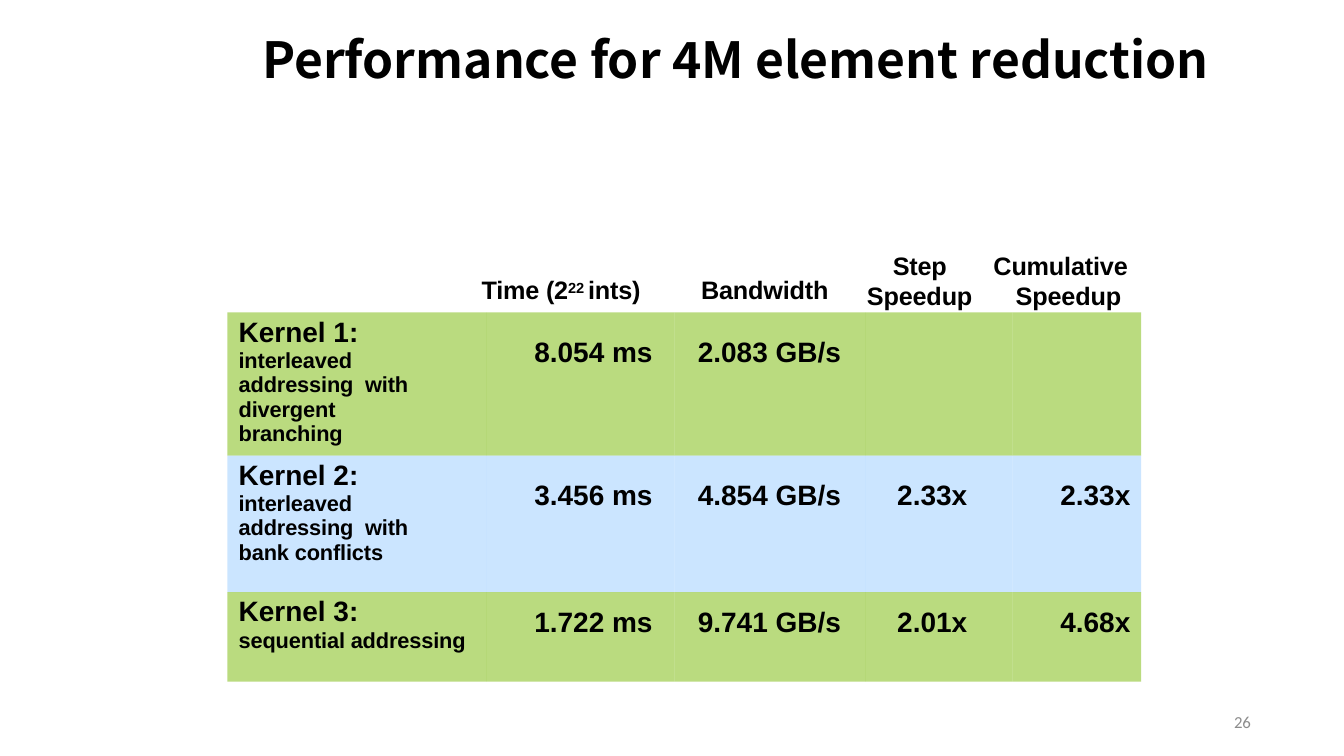
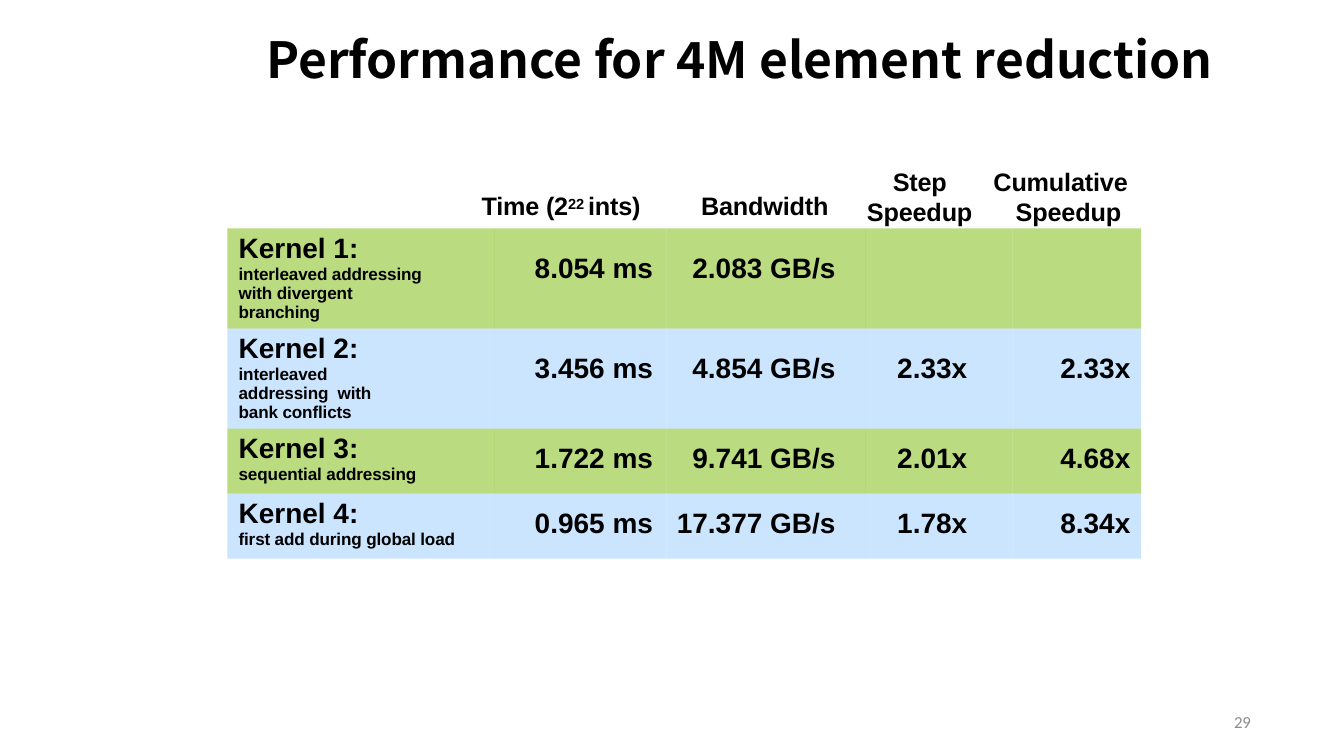
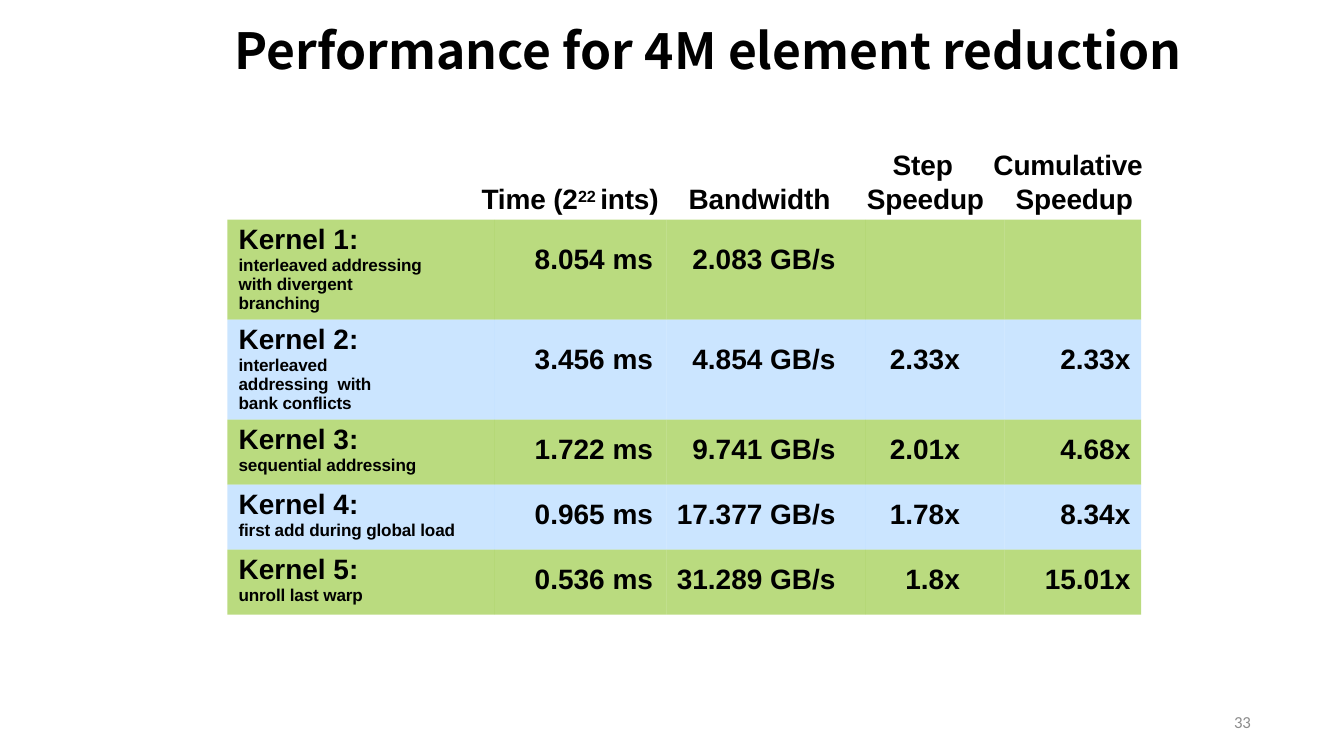
from dataclasses import dataclass

from pptx import Presentation
from pptx.dml.color import RGBColor
from pptx.enum.text import MSO_ANCHOR, PP_ALIGN
from pptx.oxml.ns import qn
from pptx.oxml.xmlchemy import OxmlElement
from pptx.util import Pt

# Shared look
BLACK = RGBColor(0x00, 0x00, 0x00)
GRAY = RGBColor(0x8C, 0x8C, 0x8C)
GREEN = RGBColor(0x76, 0xB8, 0x00)
BLUE = RGBColor(0x99, 0xCC, 0xFF)
BAND_COLORS = (GREEN, BLUE)
BAND_OPACITY = "50000"
BODY_FONT = "Arial"
TITLE_FONT = "Noto Sans CJK SC"
NUMBER_FONT = "Calibri"
LEFT, CENTER, RIGHT = PP_ALIGN.LEFT, PP_ALIGN.CENTER, PP_ALIGN.RIGHT
TOP, MIDDLE = MSO_ANCHOR.TOP, MSO_ANCHOR.MIDDLE
NO_GRID_STYLE = "{2D5ABB26-0587-4C30-8999-92F81FD0307C}"

TITLE = "Performance for 4M element reduction"
TABLE_LEFT = 146.2


@dataclass(frozen=True)
class Kernel:
    name: str
    detail: str
    values: tuple[str, str, str, str]
    tall: bool = False


@dataclass(frozen=True)
class Column:
    width: float
    align: PP_ALIGN = RIGHT
    indent: float = 0
    margin: float = 0


@dataclass(frozen=True)
class Header:
    text: str  # parts between ^ marks are superscript
    left: float
    width: float
    margin: float = 0.7
    indent: float = 0


@dataclass(frozen=True)
class HeaderRow:
    size: float
    tall_rise: float
    tall_height: float
    short_height: float
    headers: tuple[Header, ...]


@dataclass(frozen=True)
class Page:
    number: str
    title_box: tuple[float, float, float]  # left, top, width
    table_top: float
    kernel_count: int
    detail_size: float
    row_heights: tuple[float, float]  # tall, short
    detail_margins: tuple[float, ...]  # right margins of the first kernels
    columns: tuple[Column, ...]
    header_row: HeaderRow


KERNELS = (
    Kernel("Kernel 1:", "interleaved addressing  with divergent branching",
           ("8.054 ms", "2.083 GB/s", "", ""), tall=True),
    Kernel("Kernel 2:", "interleaved addressing  with bank conflicts",
           ("3.456 ms", "4.854 GB/s", "2.33x", "2.33x"), tall=True),
    Kernel("Kernel 3:", "sequential addressing",
           ("1.722 ms", "9.741 GB/s", "2.01x", "4.68x")),
    Kernel("Kernel 4:", "first add during global load",
           ("0.965 ms", "17.377 GB/s", "1.78x", "8.34x")),
    Kernel("Kernel 5:", "unroll last warp",
           ("0.536 ms", "31.289 GB/s", "1.8x", "15.01x")),
)


def make_header_row(size: float, tall_rise: float, tall_height: float,
                    short_height: float, bandwidth_left: float,
                    widths: tuple[float, ...]) -> HeaderRow:
    step, bandwidth, time, cumulative = widths
    return HeaderRow(size, tall_rise, tall_height, short_height, (
        Header("Step\nSpeedup", 556.6, step, indent=16.6),
        Header("Bandwidth", bandwidth_left, bandwidth),
        Header("Time (2^22 ^ints)", 306.7, time, margin=2.9),
        Header("Cumulative\nSpeedup", 638, cumulative, margin=15, indent=-14.3),
    ))


SMALL_HEADERS = make_header_row(16.2, 41, 40.3, 21, 450, (70.6, 85, 110.9, 88.6))
LARGE_HEADERS = make_header_row(18, 46.8, 44.6, 23, 442, (81.4, 95, 132.5, 100.8))

NAME_COLUMN = Column(172, LEFT, indent=7.2)
TIME_COLUMN = Column(110.2, margin=8.6)
BANDWIDTH_COLUMN = Column(128.2, margin=19.4)
STEP_COLUMN = Column(94.3, LEFT, indent=20.2)
TOTAL_COLUMN = Column(82.8, margin=7)

PAGES = (
    Page("26", (102.2, 17.3, 740.9), 200.9, 3, 14, (87.8, 57.6), (43, 43),
         (Column(166.3, LEFT, indent=7.2), Column(121, margin=14),
          Column(123.1, LEFT, indent=15.1), STEP_COLUMN, TOTAL_COLUMN),
         SMALL_HEADERS),
    Page("29", (113.8, 17.3, 722.9), 146.9, 4, 11, (54, 41.8), (41, 65),
         (NAME_COLUMN, TIME_COLUMN, BANDWIDTH_COLUMN, STEP_COLUMN, TOTAL_COLUMN),
         SMALL_HEADERS),
    Page("33", (77.8, 11.5, 754.6), 141.1, 5, 11, (54, 41.8), (41, 65),
         (NAME_COLUMN, TIME_COLUMN, BANDWIDTH_COLUMN,
          Column(89.3, margin=28.8), Column(87.8, margin=7)),
         LARGE_HEADERS),
)


def write(p, text: str, *, size: float, font: str = BODY_FONT,
          color: RGBColor = BLACK, bold: bool = True, spacing: float = 0,
          align: PP_ALIGN = LEFT, margin: float = 0, indent: float = 0,
          before: float = 0) -> None:
    """Fill a paragraph; newlines break lines and ^ toggles superscript."""
    p.alignment = align
    p.space_before = Pt(before)
    pPr = p._p.get_or_add_pPr()
    pPr.set("marL", str(Pt(margin)))
    pPr.set("indent", str(Pt(indent)))
    for line_no, line in enumerate(text.split("\n")):
        if line_no:
            p.add_line_break()
        for part_no, part in enumerate(line.split("^")):
            r = p.add_run()
            r.text = part
            r.font.size = Pt(size)
            r.font.name = font
            r.font.bold = bold
            r.font.color.rgb = color
            rPr = r._r.get_or_add_rPr()
            rPr.set("spc", str(round(spacing * 100)))
            if part_no % 2:
                rPr.set("baseline", "25000")


def add_text(s, text: str, left: float, top: float, width: float, height: float,
             *, anchor: MSO_ANCHOR = TOP, inset: float = 0.7, **style):
    tf = s.shapes.add_textbox(Pt(left), Pt(top), Pt(width), Pt(height)).text_frame
    tf.word_wrap = True
    tf.vertical_anchor = anchor
    tf.margin_left = tf.margin_right = tf.margin_bottom = 0
    tf.margin_top = Pt(inset)
    write(tf.paragraphs[0], text, **style)
    return tf


def format_cell(cell, color: RGBColor, top: float, right: float) -> None:
    cell.margin_left = cell.margin_bottom = 0
    cell.margin_top = Pt(top)
    cell.margin_right = Pt(right)
    cell.fill.solid()
    cell.fill.fore_color.rgb = color
    alpha = OxmlElement("a:alpha")
    alpha.set("val", BAND_OPACITY)
    cell._tc.tcPr.find(".//" + qn("a:srgbClr")).append(alpha)


def add_headers(s, page: Page) -> None:
    row = page.header_row
    for header in row.headers:
        two_lines = "\n" in header.text
        rise = row.tall_rise if two_lines else 25.2
        height = row.tall_height if two_lines else row.short_height
        add_text(s, header.text, header.left, page.table_top - rise,
                 header.width, height, size=row.size, spacing=-0.1, before=0.9,
                 margin=header.margin, indent=header.indent)


def add_kernel_table(s, page: Page) -> None:
    kernels = KERNELS[:page.kernel_count]
    tall, short = page.row_heights
    heights = [tall if kernel.tall else short for kernel in kernels]
    width = sum(column.width for column in page.columns)
    table = s.shapes.add_table(
        len(kernels), len(page.columns), Pt(TABLE_LEFT), Pt(page.table_top),
        Pt(width), Pt(sum(heights))).table
    table.first_row = table.horz_banding = False
    table._tbl.tblPr.find(qn("a:tableStyleId")).text = NO_GRID_STYLE
    for i, column in enumerate(page.columns):
        table.columns[i].width = Pt(column.width)

    for i, kernel in enumerate(kernels):
        table.rows[i].height = Pt(heights[i])
        color = BAND_COLORS[i % 2]
        # Kernel name and description
        cell = table.cell(i, 0)
        right = page.detail_margins[i] if i < len(page.detail_margins) else 0
        format_cell(cell, color, 2.9, right)
        tf = cell.text_frame
        margin = page.columns[0].indent
        write(tf.paragraphs[0], kernel.name, size=18, margin=margin, before=3)
        write(tf.add_paragraph(), kernel.detail, size=page.detail_size,
              spacing=-0.1, margin=margin, before=0.2)
        # Measurements
        top, before = (15.8, 17.4) if kernel.tall else (9.4, 10.7)
        for j, value in enumerate(kernel.values, start=1):
            cell, column = table.cell(i, j), page.columns[j]
            format_cell(cell, color, top, column.margin)
            if value:
                write(cell.text_frame.paragraphs[0], value, size=18,
                      align=column.align, margin=column.indent, before=before)


def add_page(prs, page: Page) -> None:
    s = prs.slides.add_slide(prs.slide_layouts[6])
    left, top, width = page.title_box
    add_text(s, TITLE, left, top, width, 39.6, anchor=MIDDLE, size=32,
             font=TITLE_FONT, align=CENTER, margin=0.7, before=0.9)
    add_kernel_table(s, page)
    add_headers(s, page)
    # Slide number
    tf = add_text(s, page.number, 609.8, 450.7, 194.4, 25.9, anchor=MIDDLE,
                  inset=0, size=10.8, font=NUMBER_FONT, color=GRAY, bold=False,
                  spacing=-0.1, align=RIGHT, margin=2.9)
    tf.paragraphs[0].line_spacing = Pt(14.2)


def main() -> None:
    prs = Presentation()
    prs.slide_width, prs.slide_height = Pt(864), Pt(486)
    for page in PAGES:
        add_page(prs, page)
    prs.save("out.pptx")


if __name__ == "__main__":
    main()
